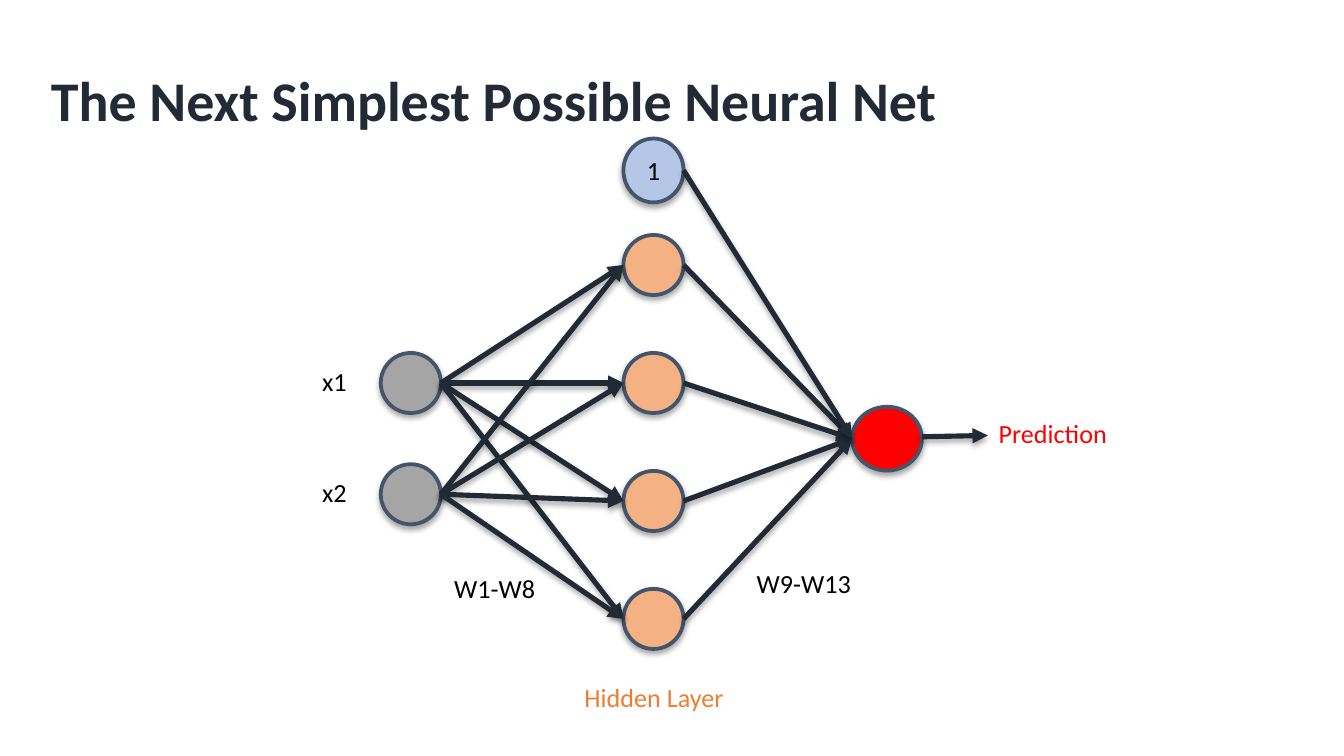
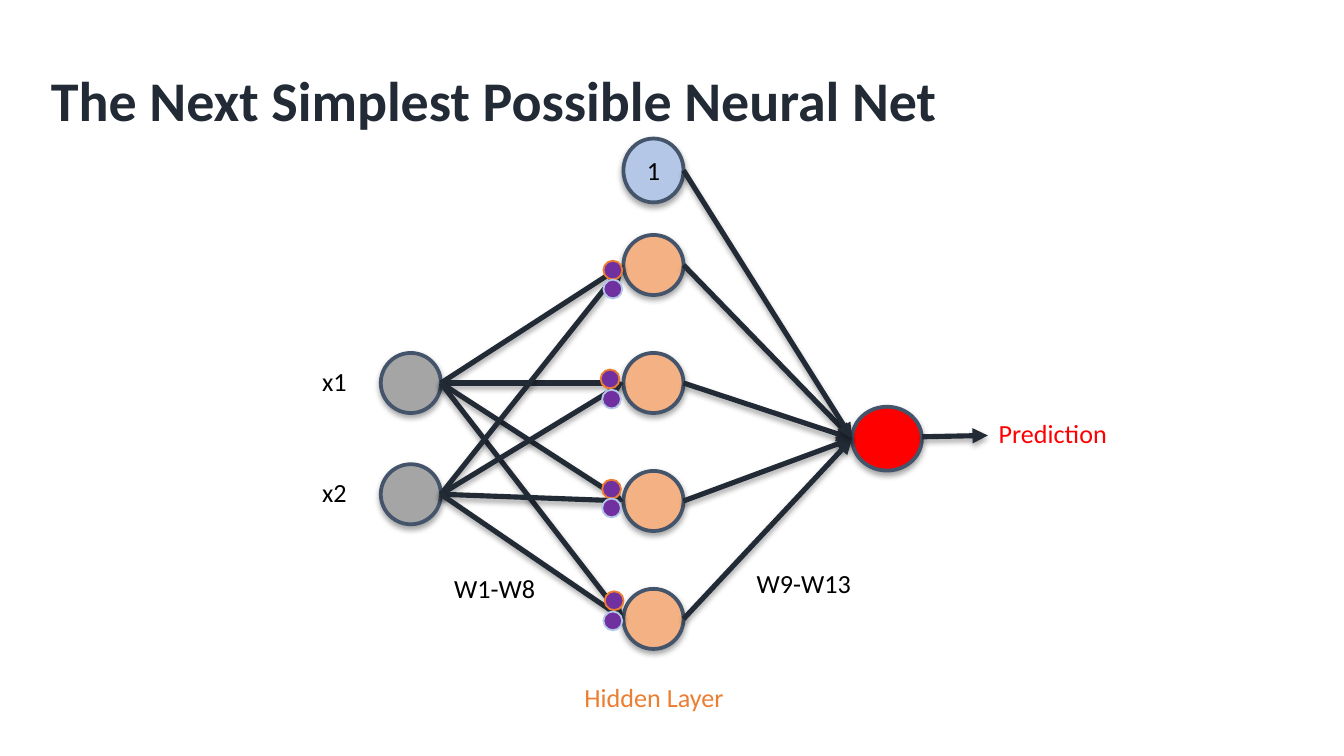
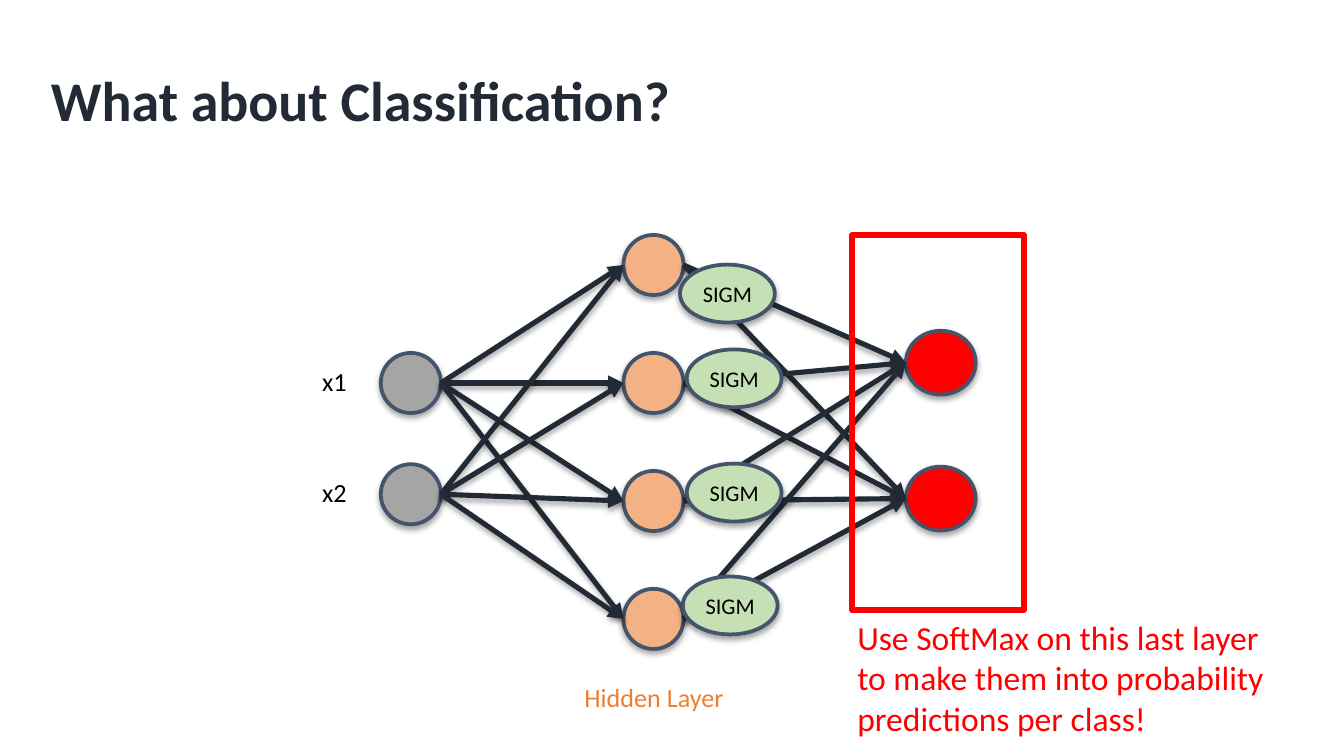
import itertools

import lxml.etree
import pptx
import pptx.dml.color
import pptx.enum.shapes
import pptx.enum.text
import pptx.oxml.ns
import pptx.util

Pt = pptx.util.Pt
RGBColor = pptx.dml.color.RGBColor
SHAPES = pptx.enum.shapes.MSO_SHAPE
qn = pptx.oxml.ns.qn

# Shared look
FONT = "Calibri"
INK = RGBColor(0x22, 0x2A, 0x35)
OUTLINE = RGBColor(0x44, 0x54, 0x6A)
BLACK = RGBColor(0x00, 0x00, 0x00)
GRAY = RGBColor(0xA5, 0xA5, 0xA5)
PEACH = RGBColor(0xF4, 0xB1, 0x83)
ORANGE = RGBColor(0xED, 0x7D, 0x31)
BLUE = RGBColor(0xB4, 0xC7, 0xE7)
GREEN = RGBColor(0xC5, 0xE0, 0xB4)
PURPLE = RGBColor(0x70, 0x30, 0xA0)
RED = RGBColor(0xFF, 0x00, 0x00)

# Network region: lengths below are relative to its left and top
NETWORK = (169, 74)
NODE = 32.2
TALL_NODE = 34.2
OUTPUT_WIDTH = 37.4
INPUT_LEFT = 35
HIDDEN_LEFT = 165
INPUT_MIDDLES = {"x1": 131.2, "x2": 190.8}
HIDDEN_MIDDLES = [68 + 63.2 * row for row in range(4)]
BIAS_MIDDLE = 17.3

# Left and top of the two input marks beside each hidden node
MARK_SIZE = 10.1
MARK_PAIRS = [
    ((154.3, 65.7), (154.3, 75.8)),
    ((152.8, 124), (153.6, 134.8)),
    ((153.6, 183), (153.6, 193.1)),
    ((155, 242.8), (154.3, 253.6)),
]
SIGMOID_CORNERS = [(195.3, 67.8), (198.9, 113.2), (198.9, 174.4), (196.8, 234.9)]


def add_shadow(shape):
    properties = shape._element.spPr
    effects = lxml.etree.SubElement(properties, qn("a:effectLst"))
    shadow = lxml.etree.SubElement(
        effects, qn("a:outerShdw"), blurRad=str(Pt(3)), dist=str(Pt(1.8)),
        dir="5400000", rotWithShape="0")
    color = lxml.etree.SubElement(shadow, qn("a:srgbClr"), val="000000")
    lxml.etree.SubElement(color, qn("a:alpha"), val="35000")


def write(shape, text, size, color, bold=False, inset=7.2, grow=True):
    frame = shape.text_frame
    frame.word_wrap = True
    if grow:
        frame.auto_size = pptx.enum.text.MSO_AUTO_SIZE.SHAPE_TO_FIT_TEXT
    frame.margin_left = frame.margin_right = Pt(inset)
    frame.margin_top = frame.margin_bottom = Pt(3.6)
    paragraph = frame.paragraphs[0]
    run = paragraph.add_run()
    run.text = text
    run.font.name = FONT
    run.font.size = Pt(size)
    run.font.bold = bold
    run.font.color.rgb = color
    return paragraph


def add_text(slide, left, top, width, height, text, size=14, color=BLACK, **style):
    box = slide.shapes.add_textbox(Pt(left), Pt(top), Pt(width), Pt(height))
    write(box, text, size, color, **style)


def add_shape(slide, kind, left, top, width, height, fill, line, line_width):
    shape = slide.shapes.add_shape(kind, Pt(left), Pt(top), Pt(width), Pt(height))
    if fill is None:
        shape.fill.background()
    else:
        shape.fill.solid()
        shape.fill.fore_color.rgb = fill
    shape.line.color.rgb = line
    shape.line.width = Pt(line_width)
    return shape


def add_node(slide, left, top, width, height, fill, text=None, size=14):
    node = add_shape(slide, SHAPES.OVAL, left, top, width, height, fill, OUTLINE, 2)
    add_shadow(node)
    if text:
        paragraph = write(node, text, size, BLACK, inset=3.6)
        paragraph.alignment = pptx.enum.text.PP_ALIGN.CENTER
        node.text_frame.vertical_anchor = pptx.enum.text.MSO_ANCHOR.MIDDLE


def add_arrow(slide, start, end):
    arrow = slide.shapes.add_connector(
        pptx.enum.shapes.MSO_CONNECTOR.STRAIGHT, *(Pt(value) for value in (*start, *end)))
    arrow.line.color.rgb = INK
    arrow.line.width = Pt(2.75)
    line = arrow._element.spPr.find(qn("a:ln"))
    lxml.etree.SubElement(line, qn("a:tailEnd"), type="triangle")
    add_shadow(arrow)


def add_layer(slide, left, middles, width, height, fill, text=None):
    """Draw a column of nodes; return their left and right end points."""
    for middle in middles:
        add_node(slide, left, middle - height / 2, width, height, fill, text)
    return [(left, middle) for middle in middles], [(left + width, middle) for middle in middles]


def connect_layers(slide, starts, ends):
    for start, end in itertools.product(starts, ends):
        add_arrow(slide, start, end)


def add_title(slide, text):
    add_text(slide, 20.2, 31.7, 611.3, 54.7, text, 30, INK, bold=True, grow=False)


def add_network(slide, left, top, output_left, output_middles, bias=False):
    # Inputs with their labels
    input_middles = [top + middle for middle in INPUT_MIDDLES.values()]
    for label, middle in zip(INPUT_MIDDLES, input_middles):
        add_text(slide, left, middle - 13.2, 26.6, 24.3, label, inset=3.6)
    input_rights = add_layer(slide, left + INPUT_LEFT, input_middles, NODE, NODE, GRAY)[1]

    # Hidden layer
    hidden_left = left + HIDDEN_LEFT
    hidden_middles = [top + middle for middle in HIDDEN_MIDDLES]
    hidden_lefts, sources = add_layer(slide, hidden_left, hidden_middles, NODE, NODE, PEACH)
    add_text(slide, left + 137, top + 287.5, 150.5, 24.3, "Hidden Layer", color=ORANGE)
    if bias:
        sources += add_layer(slide, hidden_left, [top + BIAS_MIDDLE], NODE, TALL_NODE, BLUE, "1")[1]

    # Outputs and weights
    output_lefts = add_layer(slide, left + output_left, [top + middle for middle in output_middles],
                             OUTPUT_WIDTH, TALL_NODE, RED)[0]
    connect_layers(slide, input_rights, hidden_lefts)
    connect_layers(slide, sources, output_lefts)


def add_regression(slide, left, top):
    add_network(slide, left, top, 287.5, [161], bias=True)
    add_arrow(slide, (left + 325, top + 160), (left + 360.2, top + 159.3))
    add_text(slide, left + 362.4, top + 146.3, 148.3, 24.3, "Prediction", color=RED, inset=3.6)
    add_text(slide, left + 67.2, top + 229.1, 73.4, 24.3, "W1-W8")
    add_text(slide, left + 229.2, top + 226.2, 73.4, 24.3, "W9-W13")


def add_input_marks(slide, left, top):
    for pair in MARK_PAIRS:
        for (mark_left, mark_top), line in zip(pair, (ORANGE, BLUE)):
            mark = add_shape(slide, SHAPES.OVAL, left + mark_left, top + mark_top,
                             MARK_SIZE, MARK_SIZE, PURPLE, line, 1)
            mark.shadow.inherit = False


def add_classification(slide, left, top):
    add_network(slide, left, top, 316.3, [120.3, 193.1])
    for sigmoid_left, sigmoid_top in SIGMOID_CORNERS:
        add_node(slide, left + sigmoid_left, top + sigmoid_top, 50.8, 31, GREEN, "SIGM", 12)

    # Frame and note on the last layer
    frame = add_shape(slide, SHAPES.RECTANGLE, left + 287.5, top + 52, 92.2, 200.9, None, RED, 3)
    frame.shadow.inherit = False
    add_text(slide, left + 283.2, top + 252.9, 242.6, 72.7,
             "Use SoftMax on this last layer to make them into probability "
             "predictions per class!", 18, RED)


def main():
    presentation = pptx.Presentation()
    presentation.slide_width = Pt(720)
    presentation.slide_height = Pt(405)
    net_title = "The Next Simplest Possible Neural Net"
    plans = [
        (net_title, [add_regression]),
        (net_title, [add_regression, add_input_marks]),
        ("What about Classification?", [add_classification]),
    ]
    for title, regions in plans:
        slide = presentation.slides.add_slide(presentation.slide_layouts[6])
        add_title(slide, title)
        for add_region in regions:
            add_region(slide, *NETWORK)
    presentation.save("out.pptx")


if __name__ == "__main__":
    main()
